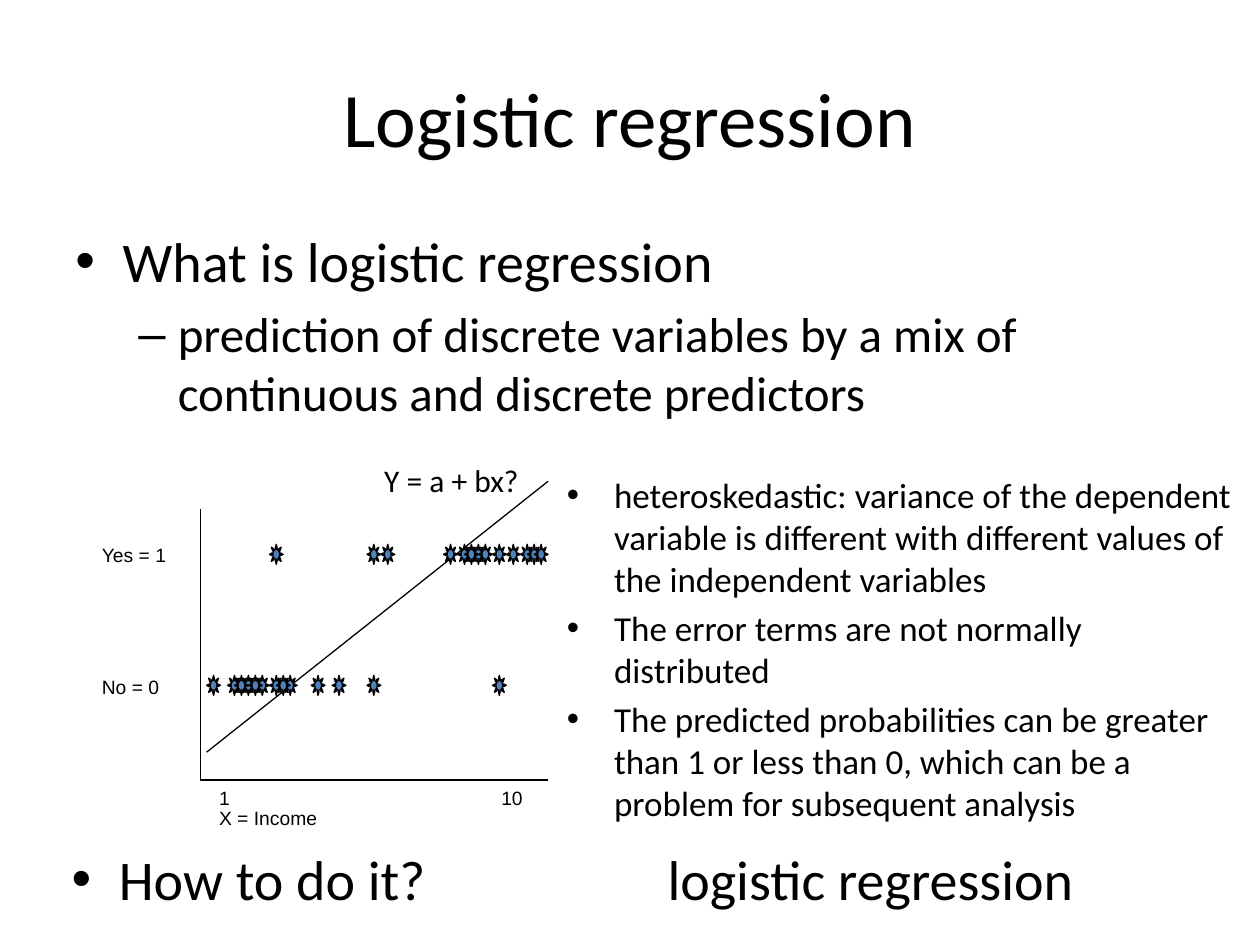
from lxml.etree import SubElement
from pptx import Presentation
from pptx.dml.color import RGBColor
from pptx.enum.shapes import MSO_CONNECTOR, MSO_SHAPE
from pptx.enum.text import MSO_ANCHOR, PP_ALIGN
from pptx.oxml.ns import qn
from pptx.util import Emu, Inches, Pt

CELL = Inches(0.1)
BLACK, BLUE = "000000", "4F81BD"


def colour(hex_code):
    """Turn a hex string into a colour."""
    return RGBColor.from_string(hex_code)


def grid(*cells):
    """Convert columns or rows of the 100 by 75 grid to lengths."""
    return [Emu(round(cell * CELL)) for cell in cells]


class RegressionSlide:
    """Hold the style and the slide, and add each kind of element."""

    def __init__(self, deck):
        """Start a title-only slide."""
        self.slide = deck.slides.add_slide(deck.slide_layouts[5])
        self.shapes = self.slide.shapes

    def add_run(self, paragraph, words, size, font):
        """Append one formatted run."""
        run = paragraph.add_run()
        run.text = words
        run.font.size, run.font.name = Pt(size), font
        run.font.color.rgb = colour(BLACK)

    def title(self, words, place):
        """Place and fill the title."""
        heading = self.shapes.title
        heading.left, heading.top, heading.width, heading.height = grid(*place)
        heading.text_frame.vertical_anchor = MSO_ANCHOR.MIDDLE
        paragraph = heading.text_frame.paragraphs[0]
        paragraph.alignment = PP_ALIGN.CENTER
        self.add_run(paragraph, words, 44, "Calibri")

    def frame(self, place, wrap=True):
        """Add an empty text box and return its frame."""
        frame = self.shapes.add_textbox(*grid(*place)).text_frame
        frame.word_wrap = wrap
        return frame

    def tab_stop(self, paragraph, column):
        """Set a left tab stop on a paragraph."""
        stops = SubElement(paragraph._p.get_or_add_pPr(), qn("a:tabLst"))
        SubElement(stops, qn("a:tab"), pos=str(grid(column)[0]), algn="l")

    def label(self, words, place, size=11, font="Arial", wrap=True, tab=None):
        """Add a one-line label."""
        paragraph = self.frame(place, wrap).paragraphs[0]
        if tab:
            self.tab_stop(paragraph, tab)
        self.add_run(paragraph, words, size, font)

    def bullets(self, items, place, tab=None):
        """Add a bullet list of (words, size, level) items."""
        frame = self.frame(place)
        for number, (words, size, level) in enumerate(items):
            paragraph = frame.add_paragraph() if number else frame.paragraphs[0]
            paragraph.level = level
            paragraph.space_before = Pt(size * 0.2)
            sign, margin, hang = (("•", 3.75, 3.75), ("–", 8.13, 3.13))[level]
            properties = paragraph._p.get_or_add_pPr()
            properties.set("marL", str(grid(margin)[0]))
            properties.set("indent", str(-grid(hang)[0]))
            SubElement(properties, qn("a:buFont"), typeface="Arial")
            SubElement(properties, qn("a:buChar"), char=sign)
            if tab:
                self.tab_stop(paragraph, tab)
            self.add_run(paragraph, words, size, "Calibri")

    def line(self, start, end):
        """Draw a thin black line."""
        connector = self.shapes.add_connector(
            MSO_CONNECTOR.STRAIGHT, *grid(*start, *end))
        connector.line.color.rgb = colour(BLACK)
        connector.line.width = Pt(0.75)
        SubElement(connector._element.spPr, qn("a:effectLst"))

    def observations(self, steps, top):
        """Plot a row of sun markers at steps along the income axis."""
        for step in steps:
            sun = self.shapes.add_shape(
                MSO_SHAPE.SUN, *grid(16.4 + step * 26 / 47, top, 1.1, 1.6))
            sun.shadow.inherit = False
            sun.fill.solid()
            sun.fill.fore_color.rgb = colour(BLUE)
            sun.line.color.rgb = colour(BLACK)
            sun.line.width = Pt(0.75)


def main():
    """Build the slide and save it."""
    deck = Presentation()
    deck.slide_width, deck.slide_height = grid(100, 75)
    page = RegressionSlide(deck)
    page.title("Logistic regression", (5, 3, 90, 12.5))
    page.bullets([
        ("What is logistic regression", 32, 0),
        ("prediction of discrete variables by a mix of continuous "
         "and discrete predictors", 28, 1),
    ], (5, 17.5, 90, 18))

    origin = (15.9, 61.9)
    page.line((16.4, 59.7), (43.5, 38.2))
    page.line((15.9, 40.4), origin)
    page.line(origin, (43.5, 61.9))
    page.label("Yes = 1", (7.1, 42.6, 7.2, 4.7))
    page.label("No = 0", (7.1, 53.1, 6.6, 2.9))
    page.label("X = Income", (16.4, 63.5, 12.1, 2.9))
    page.observations((3, 5, 7, 6, 9, 11, 15, 4, 23, 0, 10, 41, 18), 53.6)
    page.observations((9, 36, 38, 39, 43, 41, 45, 46, 37, 47, 23, 25, 34), 43.2)
    page.label("1\t10", (16.4, 61.9, 27.6, 2.9), tab=22.4)
    page.label("Y = a + bx?", (29.5, 36.1, 12.8, 4), 18, "Calibri", wrap=False)

    problems = (
        "heteroskedastic: variance of the dependent variable is different "
        "with different values of the independent variables",
        "The error terms are not normally distributed",
        "The predicted probabilities can be greater than 1 or less than 0, "
        "which can be a problem for subsequent analysis",
    )
    page.bullets([(problem, 20, 0) for problem in problems],
                 (44, 37.1, 54.8, 27.6))
    page.bullets([("How to do it?\tlogistic regression", 32, 0)],
                 (4.7, 66.5, 90, 6.6), tab=47.3)
    deck.save("out.pptx")


if __name__ == "__main__":
    main()
